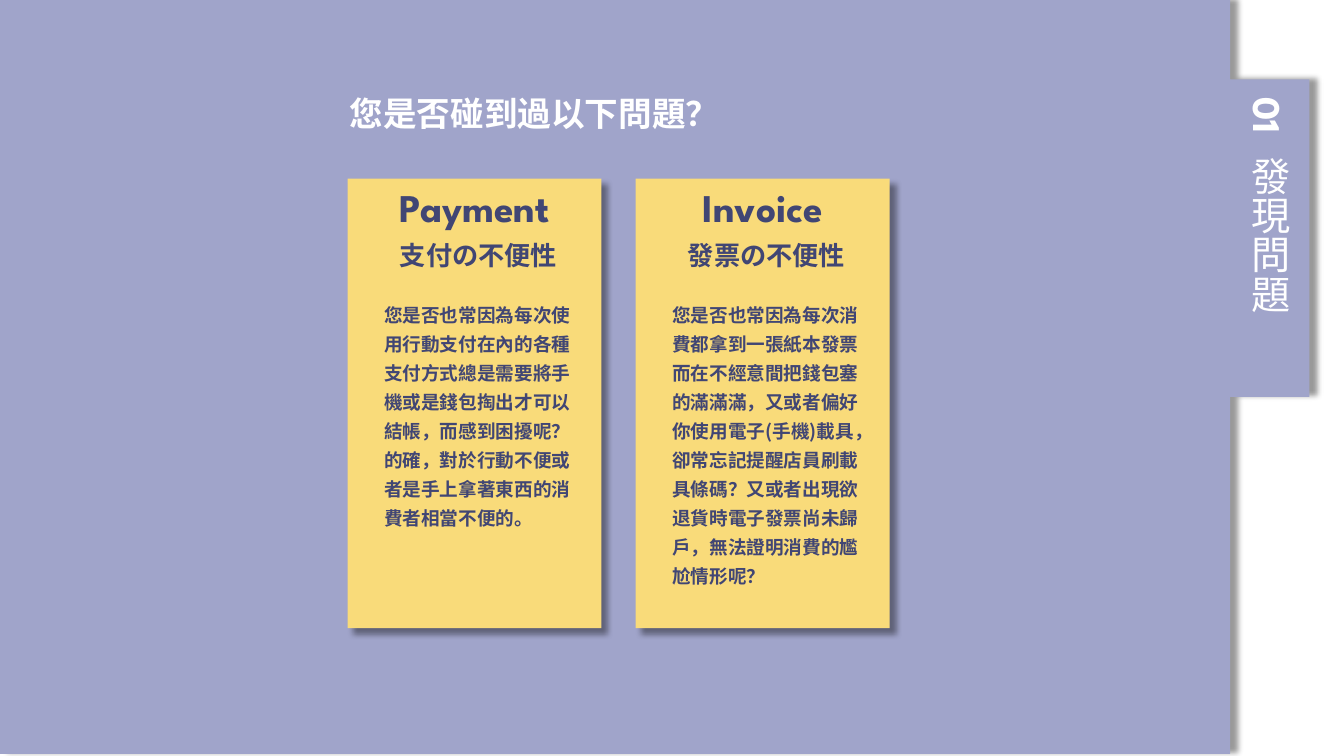
from math import cos, sin, radians
from pptx import Presentation
from pptx.dml.color import RGBColor as RGB
from pptx.enum.shapes import MSO_SHAPE as SHAPE
from pptx.enum.text import MSO_ANCHOR as ANCHOR, MSO_AUTO_SIZE as AUTO, PP_ALIGN as ALIGN
from pptx.oxml import parse_xml
from pptx.oxml.ns import nsdecls
from pptx.util import Cm, Pt

COLORS = {"lilac": "A0A4CA", "yellow": "F9DB7A", "navy": "414674",
          "white": "FFFFFF", "black": "000000"}
HEAD_FONT, BODY_FONT = "League Spartan", "Noto Sans CJK SC"


class Deck:
    """Holds the style and the current slide."""

    def __init__(self, width, height):
        self.prs = Presentation()
        self.prs.slide_width, self.prs.slide_height = Cm(width), Cm(height)
        self.s = self.prs.slides.add_slide(self.prs.slide_layouts[5])

    def paint(self, sp, color, angle):
        sp.fill.solid()
        sp.fill.fore_color.rgb = RGB.from_string(COLORS[color])
        sp.line.fill.background()
        sp.shadow.inherit = False
        sp._element.spPr.find(".//{*}effectLst").append(parse_xml(
            f'<a:outerShdw {nsdecls("a")} blurRad="{Pt(4)}" dist="{Pt(6)}" '
            f'dir="{angle * 60000}" algn="tl" rotWithShape="0">'
            f'<a:srgbClr val="{COLORS["black"]}"><a:alpha val="40000"/></a:srgbClr>'
            '</a:outerShdw>'))

    def outline(self, points, color, angle):
        fb = self.s.shapes.build_freeform(*points[0], scale=Cm(1))
        fb.add_line_segments(points[1:], close=True)
        self.paint(fb.convert_to_shape(), color, angle)

    def rect(self, shapes, box, color, angle):
        sp = shapes.add_shape(SHAPE.RECTANGLE, *map(Cm, box))
        self.paint(sp, color, angle)

    def set_text(self, sp, text, size, color, font=HEAD_FONT, bold=True,
                 align=ALIGN.LEFT, spacing=1.0, wrap=True, anchor=ANCHOR.TOP):
        tf = sp.text_frame
        tf.word_wrap, tf.auto_size, tf.vertical_anchor = wrap, AUTO.NONE, anchor
        p = tf.paragraphs[0]
        p.text, p.alignment, p.line_spacing = text, align, spacing
        p.font.name, p.font.size, p.font.bold = font, Pt(size), bold
        p.font.color.rgb = RGB.from_string(COLORS[color])

    def text(self, shapes, box, *args, vertical=False, **style):
        sp = shapes.add_textbox(*map(Cm, box))
        self.set_text(sp, *args, **style)
        if vertical:
            sp.text_frame._txBody.bodyPr.set("vert", "eaVert")

    def title(self, box, *args, **style):
        sp = self.s.shapes.title
        sp.left, sp.top, sp.width, sp.height = map(Cm, box)
        self.set_text(sp, *args, **style)
        self.s.shapes._spTree.append(sp._element)  # bring in front of the panel


def arc(cx, cy, radius, start, end, steps=12):
    angles = [radians(start + (end - start) * i / steps) for i in range(steps + 1)]
    return [(cx + radius * cos(a), cy + radius * sin(a)) for a in angles]


deck = Deck(33.87, 19.05)
shapes = deck.s.shapes

# Lilac panel with the rounded section tab
EDGE, TAB_TOP, TAB_BOTTOM, TAB_X, RADIUS = 30.84, 1.83, 9.86, 32.27, 0.55
deck.outline([(0, 0), (EDGE, 0), (EDGE, TAB_TOP),
              *arc(TAB_X, TAB_TOP + RADIUS, RADIUS, -90, 0),
              *arc(TAB_X, TAB_BOTTOM - RADIUS, RADIUS, 0, 90),
              (EDGE, TAB_BOTTOM), (EDGE, 19.05), (0, 19.05)], "lilac", 0)

# Section name and number
for label, top, height, bold in (("發現問題", 3.71, 6.05, False), ("01", 2.21, 1.5, True)):
    deck.text(shapes, (30.89, top, 1.68, height), label, 28, "white",
              bold=bold, spacing=0.9, vertical=True)

# Heading
deck.title((8.56, 2.41, 10.95, 0.99), "您是否碰到過以下問題？", 24, "white",
           spacing=0.9, anchor=ANCHOR.MIDDLE)

# Problem cards
CARDS = [
    ("Payment", "支付の不便性",
     "您是否也常因為每次使用行動支付在內的各種支付方式總是需要將手機或是錢包掏出才可以"
     "結帳，而感到困擾呢？的確，對於行動不便或者是手上拿著東西的消費者相當不便的。"),
    ("Invoice", "發票の不便性",
     "您是否也常因為每次消費都拿到一張紙本發票而在不經意間把錢包塞的滿滿滿，又或者偏好"
     "你使用電子(手機)載具，卻常忘記提醒店員刷載具條碼？又或者出現欲退貨時電子發票尚"
     "未歸戶，無法證明消費的尷尬情形呢？"),
]
CARD_X, CARD_Y, PITCH = 8.76, 4.5, 7.26
for i, (name, topic, story) in enumerate(CARDS):
    x = CARD_X + i * PITCH
    card = shapes.add_group_shape().shapes
    deck.rect(card, (x, CARD_Y, 6.4, 11.33), "yellow", 45)
    deck.text(card, (x + 0.57, CARD_Y, 5.26, 1.45), name, 28, "navy", align=ALIGN.CENTER)
    deck.text(card, (x + 1.05, CARD_Y + 1.41, 4.5, 1.07), topic, 18.7, "navy",
              align=ALIGN.CENTER, wrap=False)
    deck.text(card, (x + 0.67, CARD_Y + 2.86, 5.26, 7.6), story, 13.3, "navy",
              font=BODY_FONT, spacing=1.3)

deck.prs.save("out.pptx")
